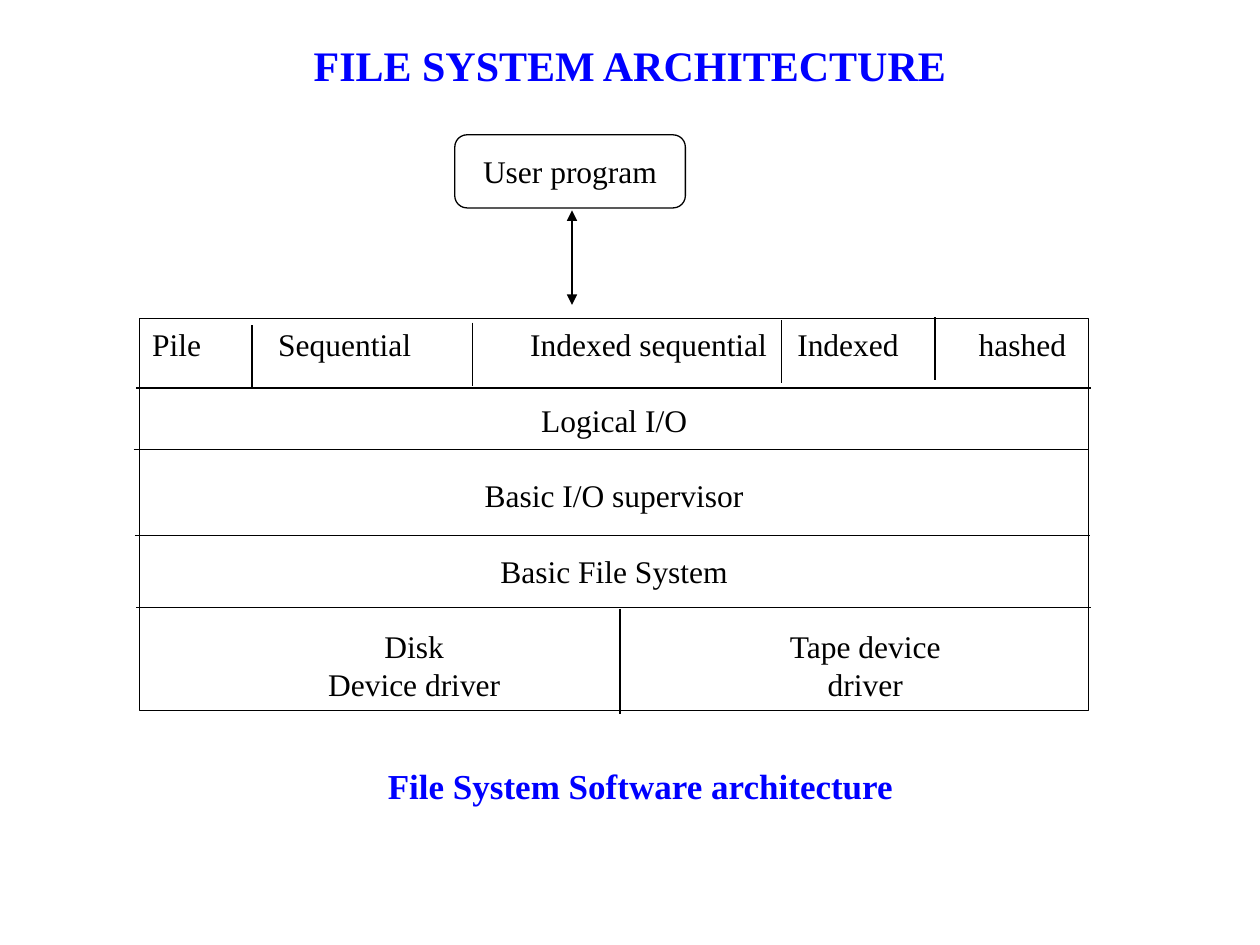
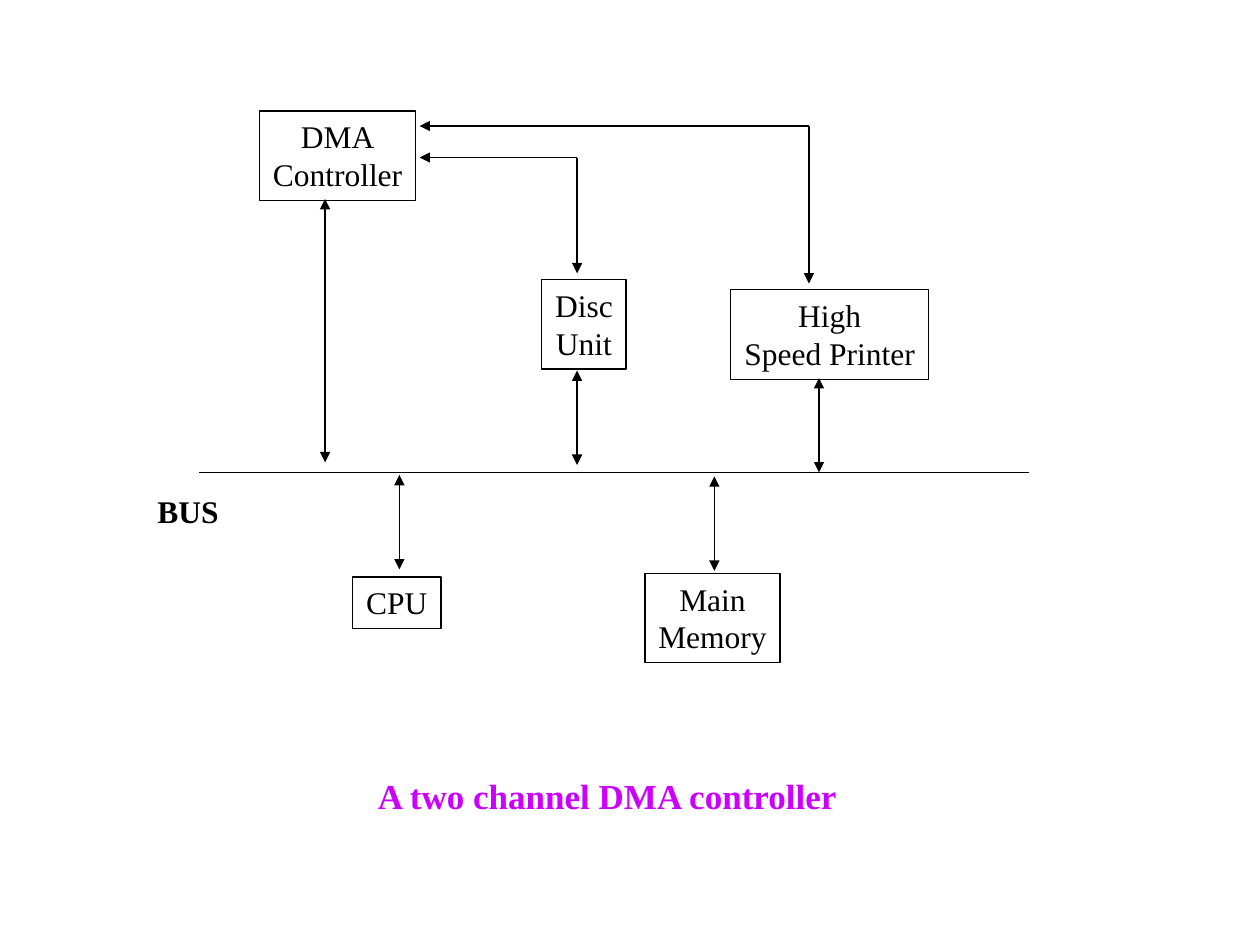
from pptx import Presentation
from pptx import util as u
from pptx.dml.color import RGBColor
from pptx.enum import shapes, text
from pptx.oxml.ns import qn
from lxml import etree

BLACK = RGBColor(0x00, 0x00, 0x00)
BLUE = RGBColor(0x00, 0x00, 0xFF)
VIOLET = RGBColor(0xCC, 0x00, 0xFF)
FONT = "Times New Roman"
LINE_WIDTH = u.Pt(0.75)
ROW_GAP = u.Pt(21.6)

BODY = dict(size=u.Pt(18), bold=False)
LABEL = dict(size=u.Pt(18), bold=True)
CAPTION = dict(size=u.Pt(20), bold=True)
TITLE = dict(size=u.Pt(24), bold=True)
CENTER, LEFT = text.PP_ALIGN.CENTER, text.PP_ALIGN.LEFT
TOP, MIDDLE = text.MSO_ANCHOR.TOP, text.MSO_ANCHOR.MIDDLE


def inches(*values):
    return [u.Inches(value) for value in values]


def write_paragraph(para, words, style=BODY, color=BLACK, align=CENTER):
    para.alignment = align
    span = para.add_run()
    span.text = words
    for name, value in {**style, "name": FONT}.items():
        setattr(span.font, name, value)
    span.font.color.rgb = color


def write_lines(box, lines, style=BODY, color=BLACK, align=CENTER, anchor=TOP):
    frame = box.text_frame
    frame.word_wrap = False
    frame.vertical_anchor = anchor
    for index, words in enumerate(lines):
        para = frame.add_paragraph() if index else frame.paragraphs[0]
        write_paragraph(para, words, style, color, align)


def set_tab_stops(para, stops, kind):
    tabs = etree.SubElement(para._p.get_or_add_pPr(), qn("a:tabLst"))
    for stop in stops:
        etree.SubElement(tabs, qn("a:tab"), pos=str(u.Inches(stop)), algn=kind)


def add_text(page, place, words, style, color=BLACK, align=LEFT, anchor=TOP):
    box = page.shapes.add_textbox(*inches(*place))
    write_lines(box, [words], style, color, align, anchor)


def add_outline(page, place, preset=shapes.MSO_SHAPE.RECTANGLE):
    box = page.shapes.add_shape(preset, *inches(*place))
    box.shadow.inherit = False
    box.fill.background()
    box.line.color.rgb = BLACK
    box.line.width = LINE_WIDTH
    return box


def add_line(page, start, end, arrows=()):
    """Draw a straight line; arrows may name headEnd (start) and tailEnd (end)."""
    line = page.shapes.add_connector(
        shapes.MSO_CONNECTOR.STRAIGHT, *inches(*start, *end))
    line.line.color.rgb = BLACK
    line.line.width = LINE_WIDTH
    properties = line._element.spPr
    for arrow in arrows:
        etree.SubElement(properties.find(qn("a:ln")), qn(f"a:{arrow}"), type="triangle")
    etree.SubElement(properties, qn("a:effectLst"))


def add_double_arrow(page, x, top, bottom):
    add_line(page, (x, top), (x, bottom), ("headEnd", "tailEnd"))


def add_user_program(page, left, top, width, height):
    box = add_outline(page, (left, top, width, height),
                      shapes.MSO_SHAPE.ROUNDED_RECTANGLE)
    write_lines(box, ["User program"], anchor=MIDDLE)
    add_double_arrow(page, left + 0.93, top + 0.6, top + 1.35)


def add_layer_stack(page, left, top, width, height):
    """Draw the file system layers, from access methods down to drivers."""
    frame = add_outline(page, (left, top, width, height)).text_frame
    frame.vertical_anchor = TOP
    frame.word_wrap = True
    access_stops = (1.0, 3.0, 5.12, 6.56)
    driver_stops = (2.08, 5.66)
    rows = [
        ("Pile\tSequential\tIndexed sequential\tIndexed\thashed", access_stops, "l"),
        ("Logical I/O", (), None),
        ("Basic I/O supervisor", (), None),
        ("Basic File System", (), None),
        ("\tDisk\tTape device", driver_stops, "ctr"),
        ("\tDevice driver\tdriver", driver_stops, "ctr"),
    ]
    last = len(rows) - 1
    for index, (words, stops, kind) in enumerate(rows):
        para = frame.add_paragraph() if index else frame.paragraphs[0]
        write_paragraph(para, words, align=LEFT if stops else CENTER)
        para.space_before = ROW_GAP if 0 < index < last else u.Pt(0)
        if stops:
            set_tab_stops(para, stops, kind)

    # Dividers overshoot the frame slightly: (shift from left edge, depth)
    for shift, depth in ((-0.03, 0.55), (-0.05, 1.04), (-0.04, 1.72), (-0.03, 2.29)):
        start = left + shift
        add_line(page, (start, top + depth), (start + width + 0.05, top + depth))
    for x, depth in ((0.89, 0.05), (2.64, 0.03), (5.09, 0.01), (6.31, -0.01)):
        add_line(page, (left + x, top + depth), (left + x, top + depth + 0.5))
    add_line(page, (left + 3.81, top + 2.3), (left + 3.81, top + height + 0.03))


def add_devices(page):
    devices = {
        ("DMA", "Controller"): (2.06, 0.88, 1.24, 0.71),
        ("Disc", "Unit"): (4.3, 2.22, 0.67, 0.71),
        ("High", "Speed Printer"): (5.8, 2.3, 1.57, 0.71),
        ("Main", "Memory"): (5.12, 4.55, 1.07, 0.71),
        ("CPU",): (2.8, 4.58, 0.7, 0.41),
    }
    for lines, place in devices.items():
        write_lines(add_outline(page, place), lines)


def add_bus(page, left, top, width):
    add_line(page, (left, top), (left + width, top))
    add_text(page, (left - 0.43, top + 0.11, 0.69, 0.4), "BUS", LABEL)
    # Links to the bus: (x, start, end), measured from its left end
    for x, start, end in ((1.0, -2.17, -0.08), (3.0, -0.81, -0.06), (4.92, -0.75, 0),
                          (1.59, 0.02, 0.77), (4.09, 0.03, 0.78)):
        add_double_arrow(page, left + x, top + start, top + end)


def add_channel(page, corner, controller_x, device_y):
    """Draw one DMA channel, bent at its corner."""
    x, y = corner
    for end in ((controller_x, y), (x, device_y)):
        add_line(page, corner, end, ("tailEnd",))


def build_architecture(page):
    add_text(page, (0.5, 0.12, 9, 0.78), "FILE SYSTEM ARCHITECTURE",
             TITLE, BLUE, CENTER, MIDDLE)
    add_user_program(page, 3.61, 1.07, 1.83, 0.58)
    add_layer_stack(page, 1.11, 2.53, 7.53, 3.11)
    add_text(page, (2.98, 6.02, 4.22, 0.43), "File System Software architecture",
             CAPTION, BLUE)


def build_dma(page):
    add_devices(page)
    add_bus(page, 1.58, 3.75, 6.59)
    add_channel(page, (4.58, 1.25), 3.33, 2.17)
    add_channel(page, (6.42, 1.0), 3.33, 2.25)
    add_text(page, (2.9, 6.1, 3.87, 0.43), "A two channel DMA controller",
             CAPTION, VIOLET)


def main():
    deck = Presentation()
    deck.slide_width, deck.slide_height = inches(10, 7.5)
    for build in (build_architecture, build_dma):
        build(deck.slides.add_slide(deck.slide_layouts[6]))
    deck.save("out.pptx")


if __name__ == "__main__":
    main()
